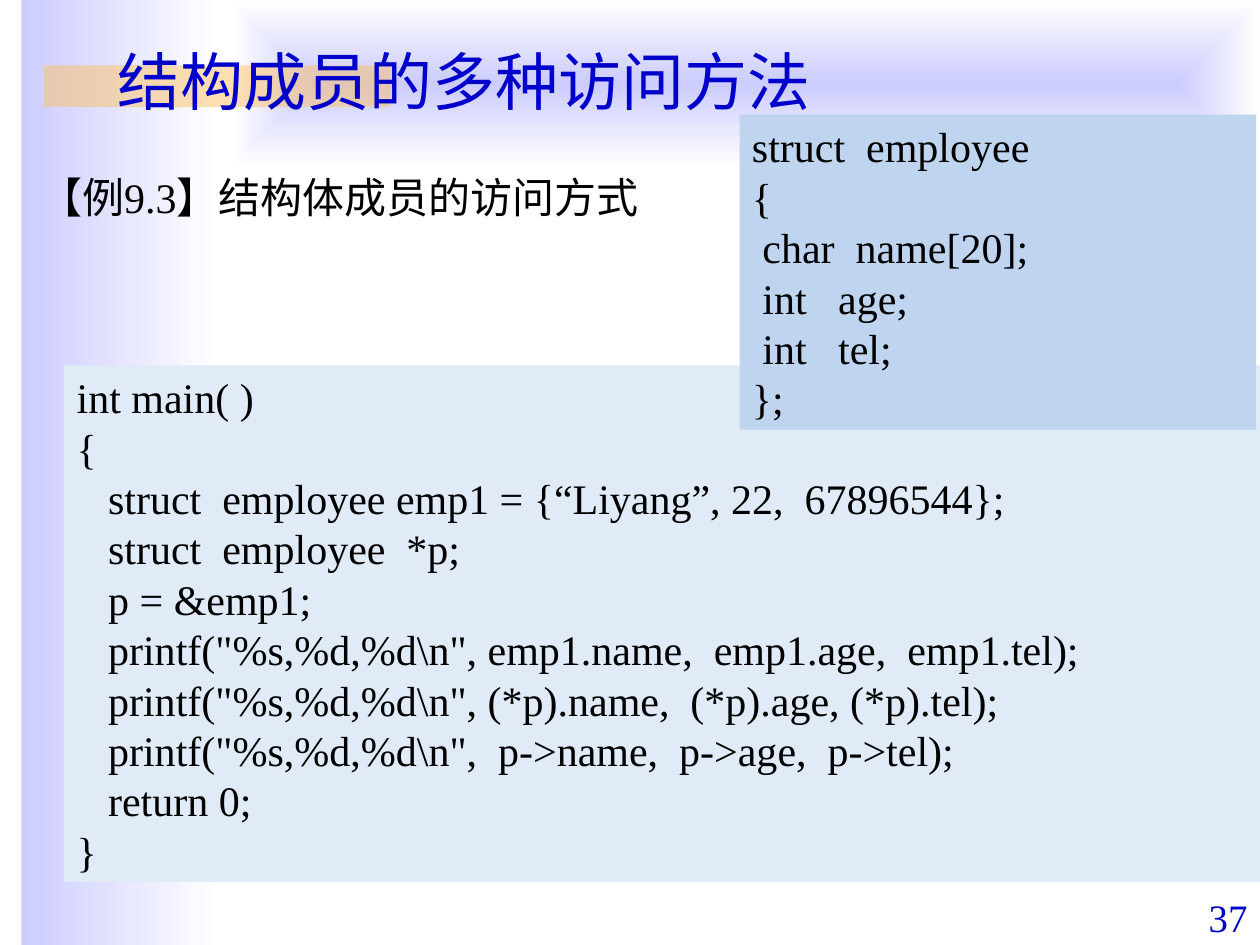
from lxml import etree
from pptx import Presentation
from pptx.dml.color import RGBColor
from pptx.enum.shapes import MSO_SHAPE
from pptx.enum.text import MSO_ANCHOR, MSO_AUTO_SIZE, PP_ALIGN
from pptx.oxml.ns import qn
from pptx.util import Inches, Pt

RECTANGLE = MSO_SHAPE.RECTANGLE
TOP, MIDDLE, BOTTOM = MSO_ANCHOR.TOP, MSO_ANCHOR.MIDDLE, MSO_ANCHOR.BOTTOM
LEFT, RIGHT = PP_ALIGN.LEFT, PP_ALIGN.RIGHT
NO_AUTOFIT = MSO_AUTO_SIZE.NONE

LAVENDER = RGBColor(0xCC, 0xCC, 0xFF)
WHITE = RGBColor(0xFF, 0xFF, 0xFF)
ORANGE = RGBColor(0xFA, 0xC1, 0x64)
BLUE = RGBColor(0x00, 0x00, 0xCC)
BLACK = RGBColor(0x00, 0x00, 0x00)
PALE_BLUE = RGBColor(0xE1, 0xEB, 0xF7)
LIGHT_BLUE = RGBColor(0xBF, 0xD5, 0xEF)

LATIN_FONT = "Times New Roman"
CHINESE_FONT = "Noto Sans CJK SC"

STRUCT_LINES = [
    "struct  employee",
    "{",
    " char  name[20];",
    " int   age;",
    " int   tel;",
    "};",
]
MAIN_LINES = [
    "int main( )",
    "{",
    "   struct  employee emp1 = {“Liyang”, 22,  67896544};",
    "   struct  employee  *p;",
    "   p = &emp1;",
    '   printf("%s,%d,%d\\n", emp1.name,  emp1.age,  emp1.tel);',
    '   printf("%s,%d,%d\\n", (*p).name,  (*p).age, (*p).tel);',
    '   printf("%s,%d,%d\\n",  p->name,  p->age,  p->tel);',
    "   return 0;",
    "}",
]


def inches(*lengths):
    """Turn plain numbers into lengths."""
    return [Inches(length) for length in lengths]


def write_lines(shape, lines, size=24, color=BLACK, font=LATIN_FONT,
                align=LEFT, anchor=TOP, wrap=True):
    """Write one paragraph for each line into a shape."""
    frame = shape.text_frame
    frame.auto_size = NO_AUTOFIT
    frame.word_wrap = wrap
    frame.vertical_anchor = anchor
    for index, line in enumerate(lines):
        para = frame.add_paragraph() if index else frame.paragraphs[0]
        para.alignment = align
        span = para.add_run()
        span.text = line
        span.font.size = Pt(size)
        span.font.name = font
        span.font.color.rgb = color
        properties = span.font._element
        etree.SubElement(properties, qn("a:ea"), typeface=CHINESE_FONT)


def add_panel(page, box):
    """Add a rectangle without outline or shadow."""
    panel = page.shapes.add_shape(RECTANGLE, *inches(*box))
    panel.shadow.inherit = False
    panel.line.fill.background()
    return panel


def add_gradient_panel(page, box, from_center=False):
    """Add a panel fading to white, rightwards or out from its center."""
    panel = add_panel(page, box)
    panel.fill.gradient()
    panel.fill.gradient_angle = 0
    for stop, color in zip(panel.fill.gradient_stops, (LAVENDER, WHITE)):
        stop.color.rgb = color
    if from_center:
        gradient = panel.element.spPr.find(qn("a:gradFill"))
        gradient.remove(gradient.find(qn("a:lin")))
        route = etree.SubElement(gradient, qn("a:path"))
        route.set("path", "rect")
        etree.SubElement(route, qn("a:fillToRect"),
                         {side: "50000" for side in "ltrb"})


def add_backdrop(page):
    """Add the side band, the header band and the title accent."""
    add_gradient_panel(page, (0.17, 0, 1.58, 7.5))
    add_gradient_panel(page, (1.83, 0, 8.17, 1.33), from_center=True)
    accent = add_panel(page, (0.35, 0.52, 2.75, 0.33))
    accent.fill.solid()
    accent.fill.fore_color.rgb = ORANGE
    tint = accent.element.spPr.find(qn("a:solidFill"))[0]
    etree.SubElement(tint, qn("a:alpha"), val="50000")


def place_title(page, box, text):
    """Place the title placeholder above the backdrop."""
    title = page.shapes.title
    title.left, title.top, title.width, title.height = inches(*box)
    write_lines(title, [text], 36, BLUE, CHINESE_FONT, anchor=BOTTOM)
    title.element.getparent().append(title.element)


def add_label(page, box, text, **style):
    """Add a one-line text box."""
    write_lines(page.shapes.add_textbox(*inches(*box)), [text], **style)


def add_code_panel(page, box, lines, color, anchor=TOP):
    """Add a filled panel with lines of code."""
    panel = add_panel(page, box)
    panel.fill.solid()
    panel.fill.fore_color.rgb = color
    write_lines(panel, lines, anchor=anchor)


def main():
    """Build the deck and save it."""
    deck = Presentation()
    deck.slide_width, deck.slide_height = inches(10, 7.5)
    page = deck.slides.add_slide(deck.slide_layouts.get_by_name("Title Only"))
    add_backdrop(page)
    add_label(page, (9, 7.01, 1, 0.5), "37", size=22.2, color=BLUE,
              align=RIGHT, anchor=BOTTOM)
    place_title(page, (0.83, -0.03, 8.81, 1.02), "结构成员的多种访问方法")
    add_code_panel(page, (0.51, 2.9, 9.49, 4.1), MAIN_LINES, PALE_BLUE, MIDDLE)
    add_label(page, (0.22, 1.31, 5.11, 0.5), "【例9.3】结构体成员的访问方式",
              wrap=False)
    add_code_panel(page, (5.87, 0.91, 4.1, 2.5), STRUCT_LINES, LIGHT_BLUE)
    deck.save("out.pptx")


if __name__ == "__main__":
    main()
